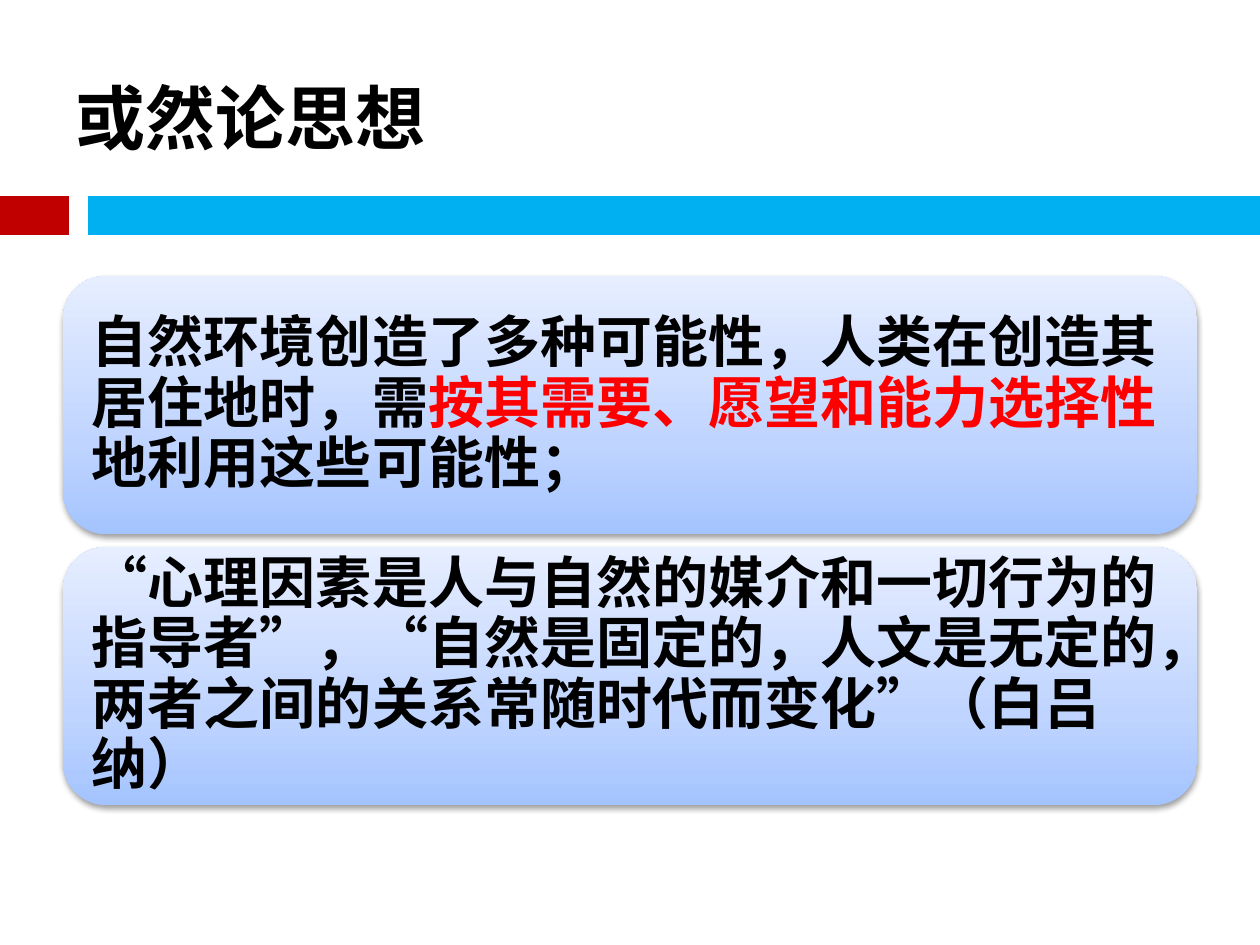
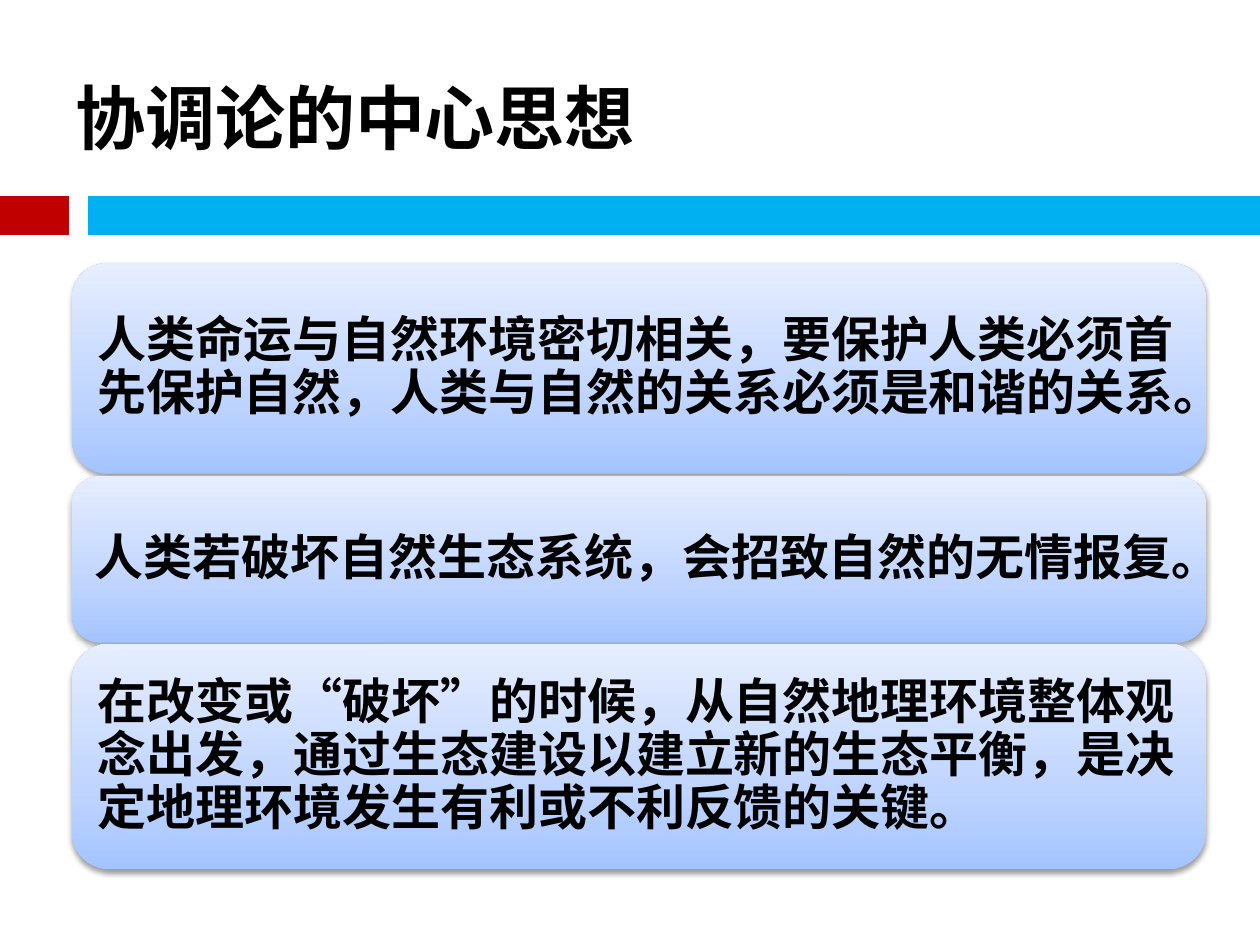
"""Build two slides on theories of humans and nature."""
from lxml.etree import SubElement
from pptx import Presentation
from pptx.dml.color import RGBColor
from pptx.enum.lang import MSO_LANGUAGE_ID
from pptx.enum.shapes import MSO_CONNECTOR, MSO_SHAPE
from pptx.enum.text import MSO_ANCHOR, PP_ALIGN
from pptx.oxml import parse_xml
from pptx.oxml.ns import nsdecls, qn
from pptx.util import Emu, Pt

PX = 9144
HAN = "Noto Sans CJK SC"
BLACK, RED = "000000", "FF0000"
BANDS = [(0, 55, "C00000"), (70, 1000, "00B0F0")]
STOPS = [(0, "A4C4FF"), (35, "BFD4FF"), (100, "E6EEFF")]
GRAD = "".join(
    f'<a:gs pos="{pos * 1000}"><a:srgbClr val="{tone}"/></a:gs>' for pos, tone in STOPS
)
FILL = (
    f'<a:gradFill {nsdecls("a")} rotWithShape="1"><a:gsLst>{GRAD}</a:gsLst>'
    '<a:lin ang="16200000" scaled="0"/></a:gradFill>'
)
SHADE = (
    f'<a:outerShdw {nsdecls("a")} blurRad="40000" dist="20000" dir="5400000" '
    'rotWithShape="0"><a:srgbClr val="000000"><a:alpha val="38000"/></a:srgbClr>'
    "</a:outerShdw>"
)

SLIDES = [
    ("或然论思想", 50, 32, 13, [
        (219, 205, [
            ("自然环境创造了多种可能性，人类在创造其居住地时，需", BLACK),
            ("按其需要、愿望和能力选择性", RED),
            ("地利用这些可能性；", BLACK),
        ]),
        (434, 205, [
            ("“心理因素是人与自然的媒介和一切行为的指导者”，“自然是固定的，"
             "人文是无定的，两者之间的关系常随时代而变化”（白吕纳）", BLACK),
        ]),
    ]),
    ("协调论的中心思想", 57, 28, 12, [
        (209, 167, [
            ("人类命运与自然环境密切相关，要保护人类必须首先保护自然，"
             "人类与自然的关系必须是和谐的关系。", BLACK),
        ]),
        (378, 132, [("人类若破坏自然生态系统，会招致自然的无情报复。", BLACK)]),
        (511, 179, [
            ("在改变或“破坏”的时候，从自然地理环境整体观念出发，通过生态建设"
             "以建立新的生态平衡，是决定地理环境发生有利或不利反馈的关键。", BLACK),
        ]),
    ]),
]


def color(tone):
    return RGBColor.from_string(tone)


def style(run, size, face, tone):
    font = run.font
    font.size, font.name, font.bold = Pt(size), face, True
    font.color.rgb = color(tone)
    font.language_id = MSO_LANGUAGE_ID.SIMPLIFIED_CHINESE
    SubElement(run._r.get_or_add_rPr(), qn("a:ea")).set("typeface", HAN)


deck = Presentation()
deck.slide_width, deck.slide_height = Emu(1000 * PX), Emu(750 * PX)

for title, left, size, inset, cards in SLIDES:
    slide = deck.slides.add_slide(deck.slide_layouts[6])

    for start, end, tone in BANDS:
        band = slide.shapes.add_connector(
            MSO_CONNECTOR.STRAIGHT, start * PX, 171 * PX, end * PX, 171 * PX
        )
        band.line.width = Pt(22)
        band.line.color.rgb = color(tone)
        SubElement(band._element.spPr, qn("a:effectLst"))

    head = slide.shapes.add_textbox(50 * PX, 30 * PX, 900 * PX, 125 * PX).text_frame
    head.word_wrap = True
    head.vertical_anchor = MSO_ANCHOR.MIDDLE
    head.text = title
    style(head.paragraphs[0].runs[0], 40, HAN, BLACK)

    for top, height, parts in cards:
        card = slide.shapes.add_shape(
            MSO_SHAPE.ROUNDED_RECTANGLE, left * PX, top * PX, 900 * PX, height * PX
        )
        card.line.fill.background()
        card.shadow.inherit = False
        props = card._element.spPr
        props.insert(2, parse_xml(FILL))
        props.find(qn("a:effectLst")).append(parse_xml(SHADE))

        frame = card.text_frame
        frame.word_wrap = True
        frame.vertical_anchor = MSO_ANCHOR.MIDDLE
        frame.margin_left = frame.margin_right = inset * PX
        frame.margin_top = frame.margin_bottom = inset * PX
        para = frame.paragraphs[0]
        para.alignment = PP_ALIGN.LEFT
        para.line_spacing = 0.9
        para.space_after = Pt(size * 0.35)
        for words, tone in parts:
            run = para.add_run()
            run.text = words
            style(run, size, "Calibri", tone)

deck.save("out.pptx")
